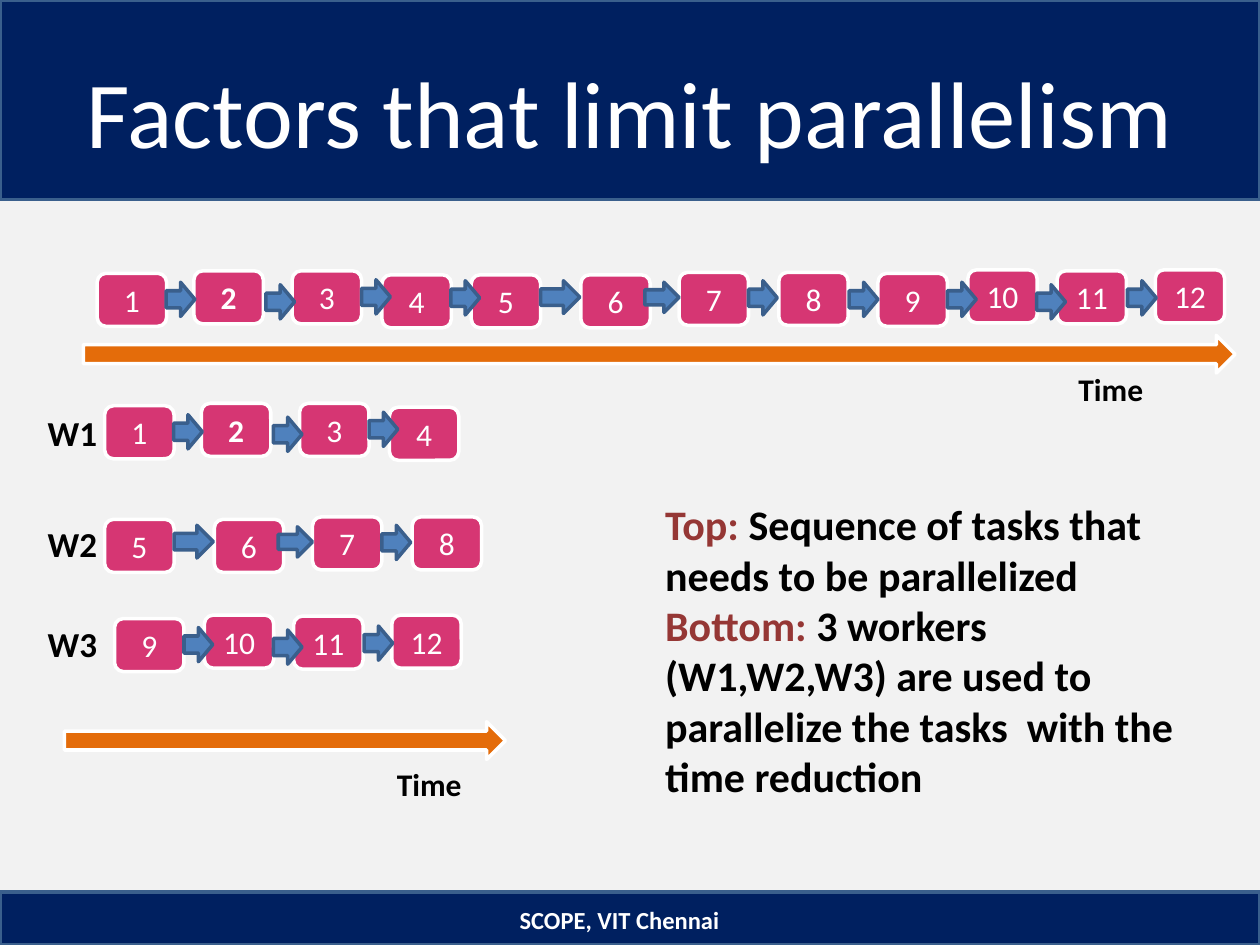
from pptx import Presentation
from pptx.dml.color import RGBColor
from pptx.enum.shapes import MSO_SHAPE
from pptx.enum.text import MSO_ANCHOR, PP_ALIGN
from pptx.util import Cm, Pt

RECT = MSO_SHAPE.RECTANGLE
ROUNDED = MSO_SHAPE.ROUNDED_RECTANGLE
ARROW = MSO_SHAPE.RIGHT_ARROW
MIDDLE, TOP = MSO_ANCHOR.MIDDLE, MSO_ANCHOR.TOP
CENTER, LEFT = PP_ALIGN.CENTER, PP_ALIGN.LEFT

NAVY, PINK, BLUE, ORANGE = "002060", "D63673", "4F81BD", "E46C0A"
BLUE_EDGE, WHITE, BLACK, MAROON = "3A5F8C", "FFFFFF", "000000", "953735"
rgb = RGBColor.from_string


def add_box(kind, box, fill, edge):
    """Add a preset shape; box is left, top, width, height in cm."""
    sp = slide.shapes.add_shape(kind, *map(Cm, box))
    sp.shadow.inherit = False
    sp.fill.solid()
    sp.fill.fore_color.rgb = rgb(fill)
    sp.line.color.rgb = rgb(edge)
    sp.line.width = Pt(2)
    return sp


def write(sp, paragraphs, size, bold=False, align=LEFT, anchor=TOP):
    """Fill a shape with paragraphs, each a list of (text, colour) runs."""
    tf = sp.text_frame
    tf.word_wrap = True
    tf.vertical_anchor = anchor
    for i, runs in enumerate(paragraphs):
        p = tf.add_paragraph() if i else tf.paragraphs[0]
        p.alignment = align
        for text, color in runs:
            r = p.add_run()
            r.text = text
            r.font.name = "Calibri"
            r.font.size = Pt(size)
            r.font.bold = bold
            r.font.color.rgb = rgb(color)


prs = Presentation()
prs.slide_width, prs.slide_height = Cm(25.4), Cm(19.05)
slide = prs.slides.add_slide(prs.slide_layouts[5])
slide.background.fill.solid()
slide.background.fill.fore_color.rgb = rgb("F2F2F2")

# Title and footer bands, behind the title
title = slide.shapes.title
for top, height in [(0, 4.02), (17.98, 1.07)]:
    band = add_box(RECT, (0, top, 25.4, height), NAVY, BLUE_EDGE)
    title.element.addprevious(band.element)

title.left, title.top, title.width, title.height = Cm(0.84), Cm(0.64), Cm(23.7), Cm(3.18)
write(title, [[("Factors that limit parallelism", WHITE)]], 54, align=CENTER, anchor=MIDDLE)
footer = slide.shapes.add_textbox(Cm(6.99), Cm(18.03), Cm(11), Cm(1.02))
write(footer, [[("SCOPE, VIT Chennai", WHITE)]], 14, True, CENTER, MIDDLE)

# Task and arrow positions in the full sequence
tasks = [(1.96, 5.51), (3.91, 5.46), (5.89, 5.46), (7.7, 5.54), (9.5, 5.54), (11.71, 5.54),
         (13.69, 5.49), (15.7, 5.49), (17.7, 5.51), (19.51, 5.44), (21.31, 5.46), (23.29, 5.44)]
arrows = [(3.35, 5.69), (5.36, 5.74), (7.29, 5.64), (9.09, 5.66), (10.9, 5.66), (13, 5.69),
          (15.09, 5.66), (17.12, 5.69), (19.1, 5.69), (20.9, 5.74), (22.73, 5.66)]
arrow_sizes = {5: (0.79, 0.66), 6: (0.69, 0.61)}

# Each row repeats part of the sequence: first task, last task, shift right, shift down
for first, last, dx, dy in [(1, 12, 0, 0), (1, 4, 0.15, 2.67),
                            (5, 8, -7.39, 4.93), (9, 12, -15.39, 6.96)]:
    for n in range(first, last + 1):
        x, y = tasks[n - 1]
        sp = add_box(ROUNDED, (x + dx, y + dy, 1.4, 1.07), PINK, WHITE)
        write(sp, [[(str(n), WHITE)]], 18, n == 2, CENTER, MIDDLE)
    for n in range(first, last):
        x, y = arrows[n - 1]
        size = arrow_sizes.get(n, (0.58, 0.69))
        add_box(ARROW, (x + dx, y + dy, *size), BLUE, BLUE_EDGE)

for name, top in [("W1", 8.18), ("W2", 10.41), ("W3", 12.42)]:
    label = slide.shapes.add_textbox(Cm(0.71), Cm(top), Cm(1.98), Cm(1.12))
    write(label, [[(name, BLACK)]], 20, True)

# Time axes: left, top, length, then label left and top
for x, y, length, label_x, label_y in [(1.68, 6.76, 23.22, 21.49, 7.34),
                                       (1.3, 14.55, 8.89, 7.75, 15.29)]:
    add_box(ARROW, (x, y, length, 0.76), ORANGE, WHITE)
    label = slide.shapes.add_textbox(Cm(label_x), Cm(label_y), Cm(3.61), Cm(1.02))
    write(label, [[("Time", BLACK)]], 18, True)

legend = slide.shapes.add_textbox(Cm(13.16), Cm(9.93), Cm(11.56), Cm(6.4))
write(legend, [
    [("Top: ", MAROON), ("Sequence of tasks that needs to be parallelized", BLACK)],
    [("Bottom: ", MAROON),
     ("3 workers (W1,W2,W3) are used to parallelize the tasks  with the time reduction", BLACK)],
], 24, True)

prs.save("out.pptx")
